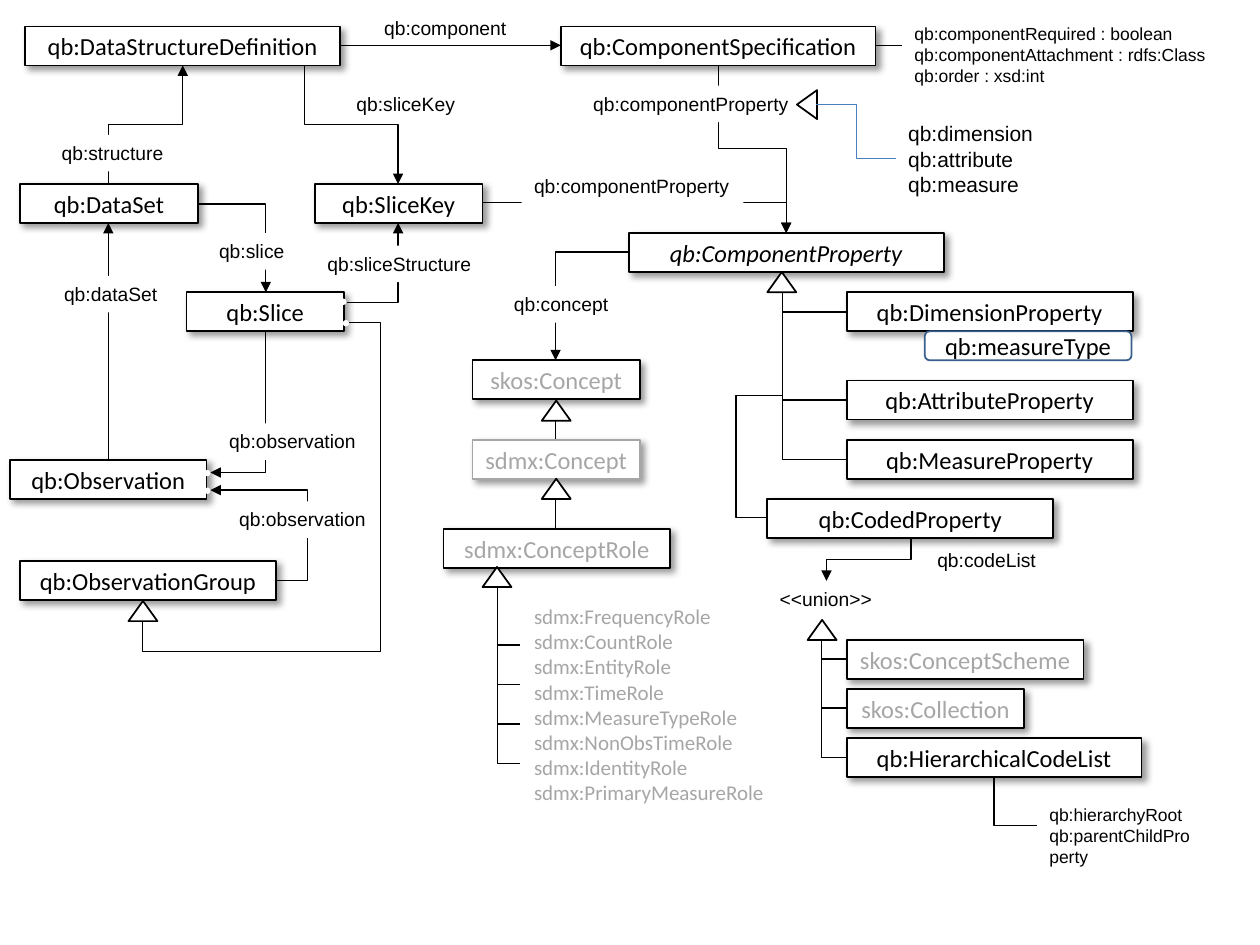
import dataclasses
import typing

import pptx
import pptx.dml.color
import pptx.enum.shapes
import pptx.enum.text
import pptx.oxml
import pptx.oxml.ns
import pptx.util

RGBColor = pptx.dml.color.RGBColor
BLACK = RGBColor(0x00, 0x00, 0x00)
WHITE = RGBColor(0xFF, 0xFF, 0xFF)
GREY = RGBColor(0xA6, 0xA6, 0xA6)
BLUE = RGBColor(0x4B, 0x7E, 0xBC)
NAVY = RGBColor(0x3A, 0x5F, 0x8C)

SHAPES = pptx.enum.shapes.MSO_SHAPE
CONNECTORS = pptx.enum.shapes.MSO_CONNECTOR
ALIGN = pptx.enum.text.PP_ALIGN
ANCHOR = pptx.enum.text.MSO_ANCHOR
AUTO_SIZE = pptx.enum.text.MSO_AUTO_SIZE

COLUMNS, ROWS = 100, 75
SLIDE_WIDTH, SLIDE_HEIGHT = pptx.util.Inches(10), pptx.util.Inches(7.5)
CELL = SLIDE_WIDTH // COLUMNS
BOX_ROWS = 3.1
SHADOW = ('<a:outerShdw %s blurRad="50800" dist="38100" dir="2700000" algn="tl" rotWithShape="0">'
          '<a:srgbClr val="000000"><a:alpha val="40000"/></a:srgbClr></a:outerShdw>'
          % pptx.oxml.ns.nsdecls("a"))


def cells(count):
    """Length of a number of grid cells."""
    return pptx.util.Emu(round(count * CELL))


def write(frame, text, size, font, color, align=ALIGN.LEFT, italic=None):
    """Fill a text frame with evenly formatted paragraphs."""
    frame.word_wrap = True
    frame.text = text
    for para in frame.paragraphs:
        para.alignment = align
        para.font.size = pptx.util.Pt(size)
        para.font.name = font
        para.font.color.rgb = color
        para.font.italic = italic


@dataclasses.dataclass
class Region:
    """Part of the page whose grid starts at a given column and row."""
    page: typing.Any
    left: float
    top: float

    def place(self, x, y, width, height):
        """Convert a box of this region to slide lengths."""
        return cells(self.left + x), cells(self.top + y), cells(width), cells(height)

    def outline(self, preset, bounds, line=BLACK):
        """Draw a white shape, outlined unless the line is None."""
        shape = self.page.shapes.add_shape(preset, *self.place(*bounds))
        shape.shadow.inherit = False
        shape.fill.solid()
        shape.fill.fore_color.rgb = WHITE
        if line is None:
            shape.line.fill.background()
        else:
            shape.line.color.rgb = line
            shape.line.width = pptx.util.Pt(1)
        return shape

    def node(self, text, x, y, width, color=BLACK, line=BLACK, italic=None):
        """Draw a class box with a soft shadow."""
        box = self.outline(SHAPES.RECTANGLE, (x, y, width, BOX_ROWS), line)
        box._element.spPr.find(pptx.oxml.ns.qn("a:effectLst")).append(pptx.oxml.parse_xml(SHADOW))
        box.text_frame.vertical_anchor = ANCHOR.MIDDLE
        write(box.text_frame, text, 14, "Calibri", color, ALIGN.CENTER, italic)

    def label(self, text, x, y, width, height=2.9, size=11, font="Arial", color=BLACK, filled=True):
        """Write a property name or a list of them."""
        box = self.page.shapes.add_textbox(*self.place(x, y, width, height))
        if filled:
            box.fill.solid()
            box.fill.fore_color.rgb = WHITE
        write(box.text_frame, text, size, font, color)
        box.text_frame.auto_size = AUTO_SIZE.SHAPE_TO_FIT_TEXT

    def triangle(self, x, y, rotation=0):
        """Draw a generalisation arrowhead."""
        self.outline(SHAPES.ISOSCELES_TRIANGLE, (x, y, 2.3, 1.6)).rotation = rotation

    def dot(self, x, y):
        """Draw a small white joint on the edge of a box."""
        self.outline(SHAPES.OVAL, (x, y, 0.5, 0.5), None)

    def link(self, *points, arrow=False, color=BLACK):
        """Join points by one straight or right-angled connector."""
        (x1, y1), (x2, y2) = points[0], points[-1]
        bent = len(points) > 2
        ends = [cells(v) for v in (self.left + x1, self.top + y1, self.left + x2, self.top + y2)]
        line = self.page.shapes.add_connector(
            CONNECTORS.ELBOW if bent else CONNECTORS.STRAIGHT, *ends)
        line.line.color.rgb = color
        line.line.width = pptx.util.Pt(0.75)
        properties = line._element.spPr
        if arrow:
            head = pptx.oxml.parse_xml('<a:tailEnd %s type="triangle"/>' % pptx.oxml.ns.nsdecls("a"))
            line.line._get_or_add_ln().append(head)
        pptx.oxml.ns.qn("a:effectLst")
        properties.append(pptx.oxml.parse_xml("<a:effectLst %s/>" % pptx.oxml.ns.nsdecls("a")))
        if bent:
            self.bend(line, points)

    def bend(self, line, points):
        """Turn an elbow connector so that it runs through its corner points."""
        (x1, y1), (x2, y2) = points[0], points[-1]
        across, down = x2 - x1, y2 - y1
        frame = line._element.spPr.find(pptx.oxml.ns.qn("a:xfrm"))
        vertical = points[0][0] == points[1][0]
        turn, flip_h, flip_v = 0, across < 0, down < 0
        if vertical:
            turn, flip_h, flip_v = 90, down < 0, across > 0
            middle_x, middle_y = self.left + (x1 + x2) / 2, self.top + (y1 + y2) / 2
            line.left, line.top = cells(middle_x - abs(down) / 2), cells(middle_y - abs(across) / 2)
            line.width, line.height = cells(abs(down)), cells(abs(across))
        if flip_v and (vertical != flip_h):
            turn, flip_h, flip_v = turn + 180, not flip_h, False
        for name, value in (("rot", turn * 60000), ("flipH", int(flip_h)), ("flipV", int(flip_v))):
            frame.set(name, str(value))
        geometry = line._element.spPr.find(pptx.oxml.ns.qn("a:prstGeom"))
        geometry.set("prst", "bentConnector%d" % (len(points) - 1))
        guides = geometry.find(pptx.oxml.ns.qn("a:avLst"))
        for index, (x, y) in enumerate(points[1:-2]):
            along_y = vertical != bool(index % 2)
            share = (y - y1) / down if along_y else (x - x1) / across
            guides.append(pptx.oxml.parse_xml(
                '<a:gd %s name="adj%d" fmla="val %d"/>'
                % (pptx.oxml.ns.nsdecls("a"), index + 1, round(share * 100000))))


def draw_data_sets(region):
    """Data structure, data sets, slices and observations."""
    region.link((15.6, 16.2), (21.1, 16.2), (21.1, 23.2), arrow=True)
    region.link((21.1, 26.3), (21.1, 37.5), (16.7, 37.5), arrow=True)
    region.link((8.6, 36.5), (8.6, 17.7), arrow=True)
    region.link((8.6, 14.6), (8.6, 9.9), (14.5, 9.9), (14.5, 5.2), arrow=True)
    region.link((27.5, 24), (31.6, 24), (31.6, 17.7), arrow=True)
    region.link((24.2, 5.2), (24.2, 9.9), (31.6, 9.9), (31.6, 14.6), arrow=True)
    region.link((21.9, 46.1), (24.4, 46.1), (24.4, 38.9), (16.7, 38.9), arrow=True)
    region.link((27.7, 25.6), (30.2, 25.6), (30.2, 51.7), (11.3, 51.7), (11.3, 49.2))
    for text, x, y, width in (
            ("qb:component", 29.5, 0.8, 11.8), ("qb:slice", 16.4, 18.5, 7.3),
            ("qb:observation", 17.2, 33.6, 12.1), ("qb:dataSet", 4.1, 21.9, 9.5),
            ("qb:structure", 3.9, 10.7, 10.1), ("qb:sliceStructure", 25, 19.5, 13.5),
            ("qb:sliceKey", 27.3, 6.8, 9.9), ("qb:observation", 18, 39.8, 12.1)):
        region.label(text, x, y, width)
    region.link((27, 3.6), (44.5, 3.6), arrow=True)
    for text, x, y, width in (
            ("qb:DataStructureDefinition", 2, 2.1, 25), ("qb:DataSet", 1.6, 14.6, 14.1),
            ("qb:SliceKey", 25, 14.6, 13.3), ("qb:Slice", 14.8, 23.2, 12.5),
            ("qb:Observation", 0.8, 36.5, 15.6), ("qb:ObservationGroup", 1.6, 44.5, 20.3)):
        region.node(text, x, y, width)
    region.triangle(10.2, 47.7)
    for x, y in ((27, 23.7), (27.2, 25.4), (16.2, 37.3), (16.2, 38.7)):
        region.dot(x, y)


def draw_specification(region):
    """Component specification and its properties."""
    region.link((28.5, 3.6), (39.5, 3.6), (39.5, 5.2), (50.4, 5.2), arrow=True)
    region.link((16, 5.2), (16, 11.8), (21.4, 11.8), (21.4, 18.5), arrow=True)
    region.link((-2.7, 16.1), (21.4, 16.1), (21.4, 18.5), arrow=True)
    region.node("qb:ComponentSpecification", 3.5, 2.1, 25)
    region.label("qb:componentRequired : boolean\vqb:componentAttachment : rdfs:Class\v"
                 "qb:order : xsd:int", 30.6, 1.3, 25.3, 6.1, size=10)
    region.label("qb:componentProperty", 5.1, 6.8, 17.6)
    region.label("qb:componentProperty", 0.4, 13.3, 17.6)
    region.triangle(21.9, 7.5, 270)
    region.label("qb:dimension\vqb:attribute\vqb:measure", 30.1, 9.1, 12, 7.1, size=12, filled=False)
    region.link((23.8, 8.3), (27, 8.3), (27, 12.6), (30.1, 12.6), color=BLUE)


def draw_properties(region):
    """Component property and its subclasses."""
    region.node("qb:ComponentProperty", 0.9, 0.5, 25, italic=True)
    for text, y in (("qb:DimensionProperty", 5.2), ("qb:AttributeProperty", 12.2),
                    ("qb:MeasureProperty", 16.9)):
        middle = y + BOX_ROWS / 2
        region.link((18.2, middle), (13.1, middle), (13.1, 5.2))
        region.node(text, 18.2, y, 22.7)
    region.link((11.9, 23.1), (9.4, 23.1), (9.4, 13.4), (13.1, 13.4), (13.1, 5.2))
    region.node("qb:CodedProperty", 11.9, 21.6, 22.7)
    region.triangle(11.9, 3.6)
    badge = region.outline(SHAPES.ROUNDED_RECTANGLE, (24.4, 8.3, 16.4, 2.3), NAVY)
    badge.text_frame.vertical_anchor = ANCHOR.MIDDLE
    write(badge.text_frame, "qb:measureType", 14, "Calibri", BLACK, ALIGN.CENTER)


def draw_concepts(region):
    """Concepts and their roles."""
    region.link((14.9, 0), (9.1, 0), (9.1, 8.6), arrow=True)
    region.label("qb:concept", 4.8, 2.7, 9.6)
    region.link((9.1, 14.9), (9.1, 13.3))
    region.link((9.1, 22), (9.1, 19.6))
    for index in range(4):
        y = 31.2 + 3.13 * index
        region.link((6.3, y), (4.5, y), (4.5, 26.6))
    region.node("skos:Concept", 2.5, 8.6, 13.3, GREY)
    region.node("sdmx:Concept", 2.5, 14.9, 13.3, GREY, GREY)
    region.node("sdmx:ConceptRole", 0.2, 22, 18, GREY)
    for x, y in ((8, 11.8), (8, 18), (3.3, 25)):
        region.triangle(x, y)
    region.label("sdmx:FrequencyRole\vsdmx:CountRole\vsdmx:EntityRole\vsdmx:TimeRole\n"
                 "sdmx:MeasureTypeRole\nsdmx:NonObsTimeRole\nsdmx:IdentityRole\n"
                 "sdmx:PrimaryMeasureRole", 6.4, 27.4, 20.4, 17.2, 12, "Calibri", GREY, False)


def draw_code_lists(region):
    """Code list union and its members."""
    region.label("qb:codeList", 13.4, 1, 9.9)
    region.link((12.3, 0.7), (12.3, 2.4), (5.6, 2.4), (5.6, 4.1), arrow=True)
    region.label("<<union>>", 0.9, 4.1, 9.4)
    for index, (text, width, color) in enumerate((
            ("skos:ConceptScheme", 18.8, GREY), ("skos:Collection", 14.1, GREY),
            ("qb:HierarchicalCodeList", 23.4, BLACK))):
        y = 8.8 + 3.9 * index
        region.link((7.2, y + 1.5), (5.2, y + 1.5), (5.2, 8.8))
        region.node(text, 7.2, y, width, color)
    region.triangle(4.1, 7.2)
    region.label("qb:hierarchyRoot\nqb:parentChildProperty", 22.3, 21.3, 13.8, 4.4, size=10)
    region.link((18.9, 19.7), (18.9, 23.5), (22.3, 23.5))


deck = pptx.Presentation()
deck.slide_width, deck.slide_height = SLIDE_WIDTH, SLIDE_HEIGHT
slide = deck.slides.add_slide(deck.slide_layouts[6])
for draw, left, top in ((draw_data_sets, 0, 0), (draw_specification, 41, 0),
                        (draw_code_lists, 60, 42), (draw_properties, 49, 18),
                        (draw_concepts, 35, 20)):
    draw(Region(slide, left, top))
deck.save("out.pptx")
